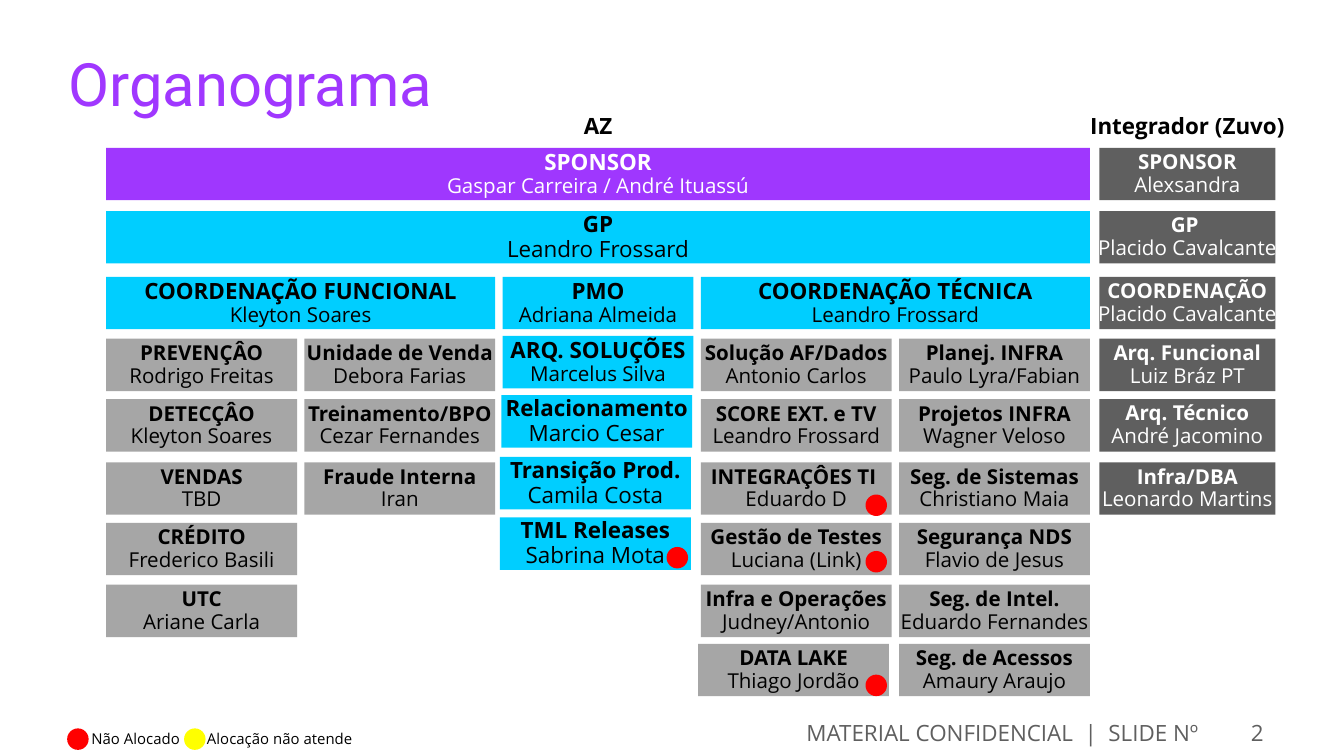
from dataclasses import dataclass

from pptx import Presentation
from pptx.dml.color import RGBColor
from pptx.enum.shapes import MSO_SHAPE
from pptx.enum.text import MSO_ANCHOR, PP_ALIGN
from pptx.util import Inches, Pt

LEFT, CENTER, RIGHT = PP_ALIGN.LEFT, PP_ALIGN.CENTER, PP_ALIGN.RIGHT
TOP, MIDDLE, BOTTOM = MSO_ANCHOR.TOP, MSO_ANCHOR.MIDDLE, MSO_ANCHOR.BOTTOM
RECTANGLE, OVAL = MSO_SHAPE.RECTANGLE, MSO_SHAPE.OVAL

COLORS = {
    "purple": "A037FF", "sponsor": "9F37FE", "cyan": "00CEFF", "gray": "A6A6A6",
    "dark": "5F5F5F", "black": "000000", "white": "FFFFFF",
    "red": "FF0000", "yellow": "FFFF00",
}
SLIDE_WIDTH = Inches(10)
SLIDE_HEIGHT = SLIDE_WIDTH * 9 // 16
GRID_LEFT, COLUMN_PITCH, COLUMN_WIDTH = 0.79, 1.475, 1.42
ROW_TOPS = [1.1, 1.57, 2.06, 2.52, 2.97, 3.44, 3.89, 4.35, 4.79]
ROW_HEIGHT = 0.39
PARTNER_LEFT, PARTNER_WIDTH = 8.18, 1.31
FIRST_TEAM_ROW = 3
TIGHT, LOOSE = Pt(12), 0.93
DOT_SIZE = 0.16


@dataclass
class Style:
    """Look shared by a family of boxes."""
    fill: str
    color: str = "black"
    role_size: int = 12
    name_size: int = 11
    spacing: float = LOOSE
    inset: float = 0.05


@dataclass
class Member:
    """A role, the person in it, and its place on the grid."""
    role: str
    name: str
    column: int
    row: int
    style: Style
    span: int = 1
    shift: tuple[float, float] = (0, 0)
    role_spacing: float | None = None
    name_spacing: float | None = None


SPONSOR = Style("sponsor", "white")
LEAD = Style("cyan")
LARGE_LEAD = Style("cyan", name_size=12)
TEAM = Style("gray", role_size=11, spacing=TIGHT, inset=0)
PARTNER = Style("dark", "white", role_size=11)

MEMBERS = [
    Member("SPONSOR", "Gaspar Carreira / André Ituassú", 0, 0, SPONSOR, 5),
    Member("GP", "Leandro Frossard", 0, 1, LARGE_LEAD, 5),
    Member("COORDENAÇÃO FUNCIONAL", "Kleyton Soares", 0, 2, LEAD, 2, name_spacing=TIGHT),
    Member("PMO", "Adriana Almeida", 2, 2, LEAD),
    Member("COORDENAÇÃO TÉCNICA", "Leandro Frossard", 3, 2, LEAD, 2),
    Member("ARQ. SOLUÇÕES", "Marcelus Silva", 2, 3, LEAD, shift=(0, -0.02)),
    Member("Relacionamento", "Marcio Cesar", 2, 4, LARGE_LEAD, shift=(-0.01, -0.03)),
    Member("Transição Prod.", "Camila Costa", 2, 5, LARGE_LEAD, shift=(-0.02, -0.04)),
    Member("TML Releases", "Sabrina Mota", 2, 6, LARGE_LEAD, shift=(-0.02, -0.04)),
    Member("Solução AF/Dados", "Antonio Carlos", 3, 3, TEAM, name_spacing=LOOSE),
    Member("SCORE EXT. e TV", "Leandro Frossard", 3, 4, TEAM),
    Member("INTEGRAÇÔES TI ", "Eduardo D", 3, 5, TEAM,
           role_spacing=LOOSE, name_spacing=LOOSE),
    Member("Gestão de Testes", "Luciana (Link)", 3, 6, TEAM, name_spacing=LOOSE),
    Member("Infra e Operações", "Judney/Antonio", 3, 7, TEAM),
    Member("DATA LAKE", "Thiago Jordão", 3, 8, TEAM, shift=(-0.02, 0)),
]
TEAMS = {
    0: [("PREVENÇÂO", "Rodrigo Freitas"), ("DETECÇÂO", "Kleyton Soares"),
        ("VENDAS", "TBD"), ("CRÉDITO", "Frederico Basili"), ("UTC", "Ariane Carla")],
    1: [("Unidade de Venda", "Debora Farias"), ("Treinamento/BPO", "Cezar Fernandes"),
        ("Fraude Interna", "Iran")],
    4: [("Planej. INFRA", "Paulo Lyra/Fabian"), ("Projetos INFRA", "Wagner Veloso"),
        ("Seg. de Sistemas", "Christiano Maia"), ("Segurança NDS", "Flavio de Jesus"),
        ("Seg. de Intel.", "Eduardo Fernandes"), ("Seg. de Acessos", "Amaury Araujo")],
}
PARTNERS = [
    ("SPONSOR", "Alexsandra"), ("GP ", "Placido Cavalcante"),
    ("COORDENAÇÃO", "Placido Cavalcante"), ("Arq. Funcional", "Luiz Bráz PT"),
    ("Arq. Técnico", "André Jacomino"), ("Infra/DBA", "Leonardo Martins"),
]
DOTS = [
    (0.5, 5.42, "red"), (1.37, 5.42, "yellow"), (6.44, 3.68, "red"),
    (6.44, 4.1, "red"), (6.44, 5.02, "red"), (4.96, 4.07, "red"),
]


def set_frame(frame, anchor=MIDDLE, inset=(0.04, 0.05), wrap=False) -> None:
    """Set the anchor, the side and top insets, and the wrapping of a frame."""
    frame.vertical_anchor = anchor
    frame.word_wrap = wrap
    frame.margin_left = frame.margin_right = Inches(inset[0])
    frame.margin_top = frame.margin_bottom = Inches(inset[1])


def write(para, text: str, *, size: float, color: str = "black", bold: bool = False,
          align=CENTER, spacing=LOOSE, font: str = "Open Sans") -> None:
    """Write one formatted run into a paragraph."""
    para.alignment = align
    para.line_spacing = spacing
    span = para.add_run()
    span.text = text
    span.font.name = font
    span.font.size = Pt(size)
    span.font.bold = bold
    span.font.color.rgb = RGBColor.from_string(COLORS[color])


def add_flat(page, kind, bounds: tuple, fill: str | None = None):
    """Add a shape without outline or shadow, filled if a colour is given."""
    shape = page.shapes.add_shape(kind, *map(Inches, bounds))
    shape.shadow.inherit = False
    shape.line.fill.background()
    if fill:
        shape.fill.solid()
        shape.fill.fore_color.rgb = RGBColor.from_string(COLORS[fill])
    else:
        shape.fill.background()
    return shape


def add_label(page, text: str, bounds: tuple, anchor=MIDDLE, inset=(0.04, 0),
              wrap: bool = False, **text_format) -> None:
    """Add a single line; an unwrapped one may run past its bounds."""
    if wrap:
        box = page.shapes.add_textbox(*map(Inches, bounds))
    else:
        box = add_flat(page, RECTANGLE, bounds)
    set_frame(box.text_frame, anchor, inset, wrap)
    write(box.text_frame.paragraphs[0], text, **text_format)


def add_role_box(page, member: Member, left: float, width: float) -> None:
    """Add a box with a bold role above a name."""
    style = member.style
    top = ROW_TOPS[member.row] + member.shift[1]
    box = add_flat(page, RECTANGLE, (left + member.shift[0], top, width, ROW_HEIGHT),
                   style.fill)
    frame = box.text_frame
    set_frame(frame, inset=(0.04, style.inset))
    write(frame.paragraphs[0], member.role, size=style.role_size, color=style.color,
          bold=True, spacing=member.role_spacing or style.spacing)
    write(frame.add_paragraph(), member.name, size=style.name_size, color=style.color,
          spacing=member.name_spacing or style.spacing)


def add_chart_boxes(page) -> None:
    """Draw the whole organisation chart on its grid."""
    teams = [Member(role, name, column, row, TEAM)
             for column, team in TEAMS.items()
             for row, (role, name) in enumerate(team, FIRST_TEAM_ROW)]
    for member in MEMBERS + teams:
        add_role_box(page, member, GRID_LEFT + member.column * COLUMN_PITCH,
                     (member.span - 1) * COLUMN_PITCH + COLUMN_WIDTH)
    for row, (role, name) in enumerate(PARTNERS):
        add_role_box(page, Member(role, name, 0, row, PARTNER), PARTNER_LEFT, PARTNER_WIDTH)


def build() -> None:
    """Build the slide and save it."""
    deck = Presentation()
    deck.slide_width, deck.slide_height = SLIDE_WIDTH, SLIDE_HEIGHT
    page = deck.slides.add_slide(deck.slide_layouts[6])
    add_label(page, "Organograma", (0.51, 0.3, 6.14, 0.86), TOP, (0, 0), True,
              size=32, color="purple", align=LEFT, spacing=Pt(42), font="Roboto")
    for text, left, width in [("MATERIAL CONFIDENCIAL  |  SLIDE Nº", 0.5, 8.52),
                              ("2", 9.02, 0.48)]:
        add_label(page, text, (left, 5.33, width, 0.24), inset=(0.1, 0.05), wrap=True,
                  size=12, color="dark", align=RIGHT, spacing=1.0)
    for text, left, width in [("AZ", GRID_LEFT, 7.32),
                              ("Integrador (Zuvo)", PARTNER_LEFT, PARTNER_WIDTH)]:
        add_label(page, text, (left, 0.77, width, 0.32), BOTTOM, (0.04, 0.05),
                  size=12, bold=True)
    add_chart_boxes(page)
    for text, bounds in [("Não Alocado", (0.64, 5.37, 0.7, 0.27)),
                         ("Alocação não atende", (1.5, 5.39, 1.21, 0.23))]:
        add_label(page, text, bounds, size=8, align=LEFT)
    for left, top, color in DOTS:
        add_flat(page, OVAL, (left, top, DOT_SIZE, DOT_SIZE), color)
    deck.save("out.pptx")


build()
